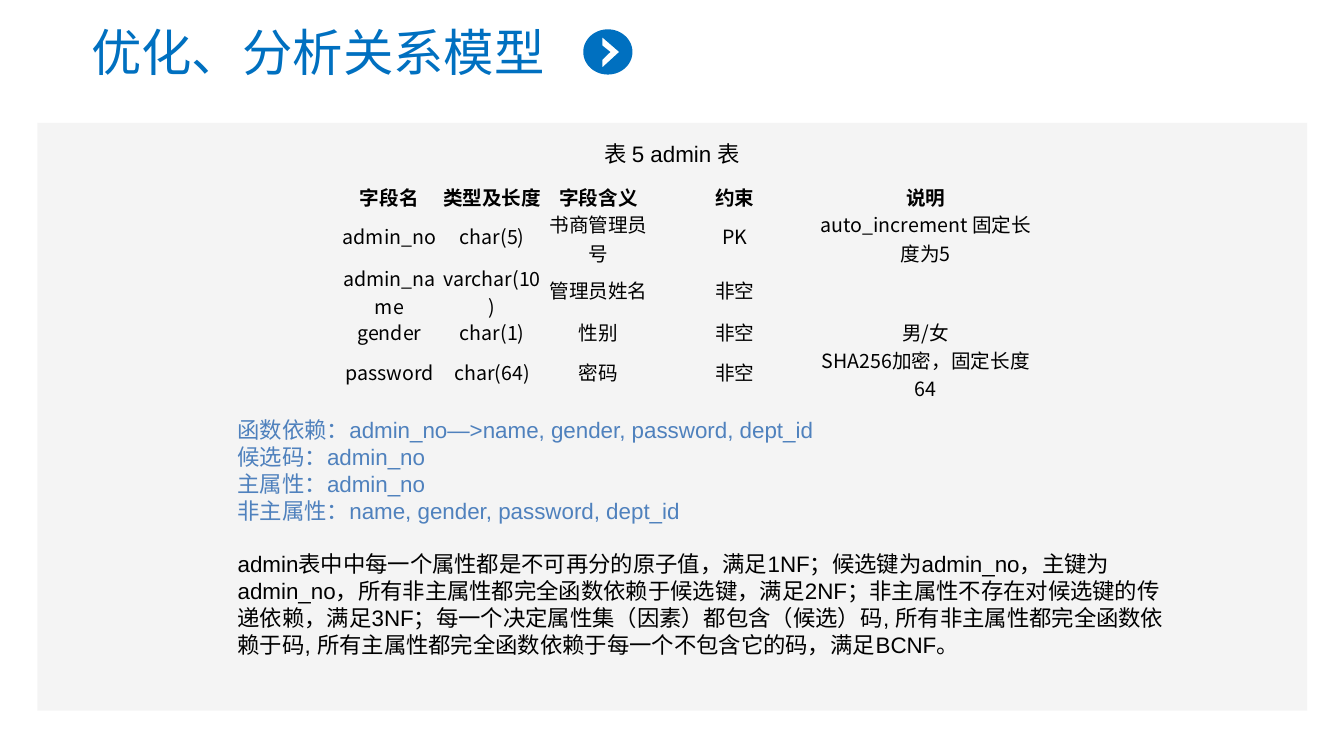
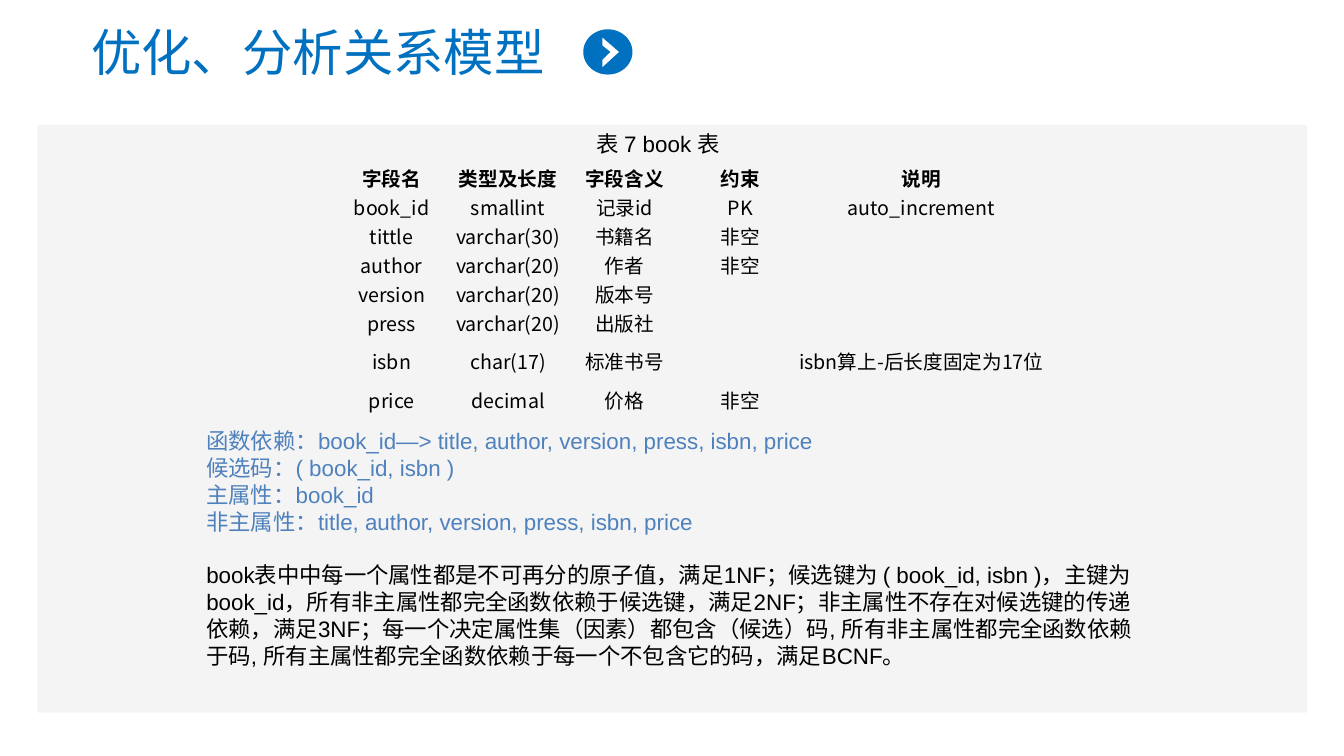
import math
from lxml import etree
from pptx import Presentation
from pptx.util import Cm, Pt
from pptx.dml.color import RGBColor
from pptx.enum import shapes, text
from pptx.oxml import ns

BLUE, SOFT, BLACK, GREY = "0070C0", "4F81BD", "000000", "F2F2F2"
SANS, CJK = "Arial", "Noto Sans CJK SC"
LEFT, MID = text.PP_ALIGN.LEFT, text.PP_ALIGN.CENTER
PLAIN = "{2D5ABB26-0587-4C30-8999-92F81FD0307C}"  # table style without grid
ARROW = [(.73, .5), (.39, .84), (.39, .67), (.55, .5), (.39, .36), (.39, .18)]
HEAD = ["字段名", "类型及长度", "字段含义", "约束", "说明"]
LABELS = ["函数依赖", "候选码", "主属性", "非主属性"]
PROOF = (
    "{name}表中中每一个属性都是不可再分的原子值，满足1NF；候选键为{key}，"
    "主键为{main}，所有非主属性都完全函数依赖于候选键，满足2NF；"
    "非主属性不存在对候选键的传递依赖，满足3NF；"
    "每一个决定属性集（因素）都包含（候选）码, 所有非主属性都完全函数依赖于码, "
    "所有主属性都完全函数依赖于每一个不包含它的码，满足BCNF。")


def cms(*nums):
    return [Cm(n) for n in nums]


def paint(fill, hue):
    fill.solid()
    fill.fore_color.rgb = RGBColor.from_string(hue)


def write(par, words, size, hue, face=SANS, bold=False, align=LEFT):
    par.alignment = align
    run = par.add_run()
    run.text = words
    font = run.font
    font.size, font.name, font.bold = Pt(size), face, bold
    font.color.rgb = RGBColor.from_string(hue)
    east = etree.SubElement(run._r.get_or_add_rPr(), ns.qn("a:ea"))
    east.set("typeface", CJK)


def blank(par, size):
    # An empty cell must not force its row taller than the text
    end = etree.SubElement(par._p, ns.qn("a:endParaRPr"))
    end.set("sz", str(size * 100))


def frame(owner, box):
    body = owner.add_textbox(*cms(*box)).text_frame
    body.word_wrap = True
    return body


def panel(slide, box):
    rect = slide.shapes.add_shape(shapes.MSO_SHAPE.RECTANGLE, *cms(*box))
    rect.shadow.inherit = False
    rect.line.fill.background()
    paint(rect.fill, GREY)
    tint = rect.fill._xPr.find(".//" + ns.qn("a:srgbClr"))
    etree.SubElement(tint, ns.qn("a:alpha")).set("val", "78000")


def icon(owner, box):
    left, top, wide, high = cms(*box)

    def spot(x, y):
        return round(left + x * wide), round(top + y * high)

    turns = [math.tau * i / 60 for i in range(60)]
    ring = [spot(.5 + math.cos(t) / 2, .5 + math.sin(t) / 2) for t in turns]
    hole = [spot(*p) for p in ARROW]
    pen = owner.build_freeform(*ring[0], scale=1.0)
    pen.add_line_segments(ring[1:], close=True)
    pen.move_to(*hole[0])
    pen.add_line_segments(hole[1:], close=True)
    disc = pen.convert_to_shape()
    disc.shadow.inherit = False
    disc.line.fill.background()
    paint(disc.fill, BLUE)


def header(slide, box):
    x, y, wide, high = box
    group = slide.shapes.add_group_shape().shapes
    icon(group, (x + 13, y + .33, 1.24, 1.14))
    body = frame(group, (x, y, wide, high))
    write(body.paragraphs[0], "优化、分析关系模型", 36, BLUE, CJK, align=MID)


def grid(slide, spot, cols, tall, rows):
    size = sum(cols), sum(tall)
    table = slide.shapes.add_table(
        len(rows), len(cols), *cms(*spot, *size)).table
    table.first_row = table.horz_banding = False
    table._tbl.tblPr.find(ns.qn("a:tableStyleId")).text = PLAIN
    for col, wide in zip(table.columns, cols):
        col.width = Cm(wide)
    for r, (row, high) in enumerate(zip(rows, tall)):
        table.rows[r].height = Cm(high)
        for c, words in enumerate(row):
            cell = table.cell(r, c)
            cell.fill.background()
            cell.margin_left = cell.margin_right = cell.margin_top = Cm(.02)
            cell.margin_bottom = 0
            top = r == 0
            cell.vertical_anchor = (text.MSO_ANCHOR.BOTTOM if top
                                    else text.MSO_ANCHOR.MIDDLE)
            par = cell.text_frame.paragraphs[0]
            if words:
                write(par, words, 14, BLACK, CJK, top, MID)
            else:
                blank(par, 14)


def notes(slide, box, facts, proof):
    body = frame(slide.shapes, box)
    for i, (label, fact) in enumerate(zip(LABELS, facts)):
        par = body.add_paragraph() if i else body.paragraphs[0]
        write(par, f"{label}：{fact}", 16, SOFT)
    par = body.add_paragraph()
    par.space_before = Pt(19)
    write(par, proof, 16, BLACK)


def page(deck, data):
    slide = deck.slides.add_slide(deck.slide_layouts[6])
    panel(slide, (.94, data["top"], 32, 14.81))
    header(slide, (1.7, .41, 12.62, 1.8))
    # Caption and table
    body = frame(slide.shapes, (*data["cap"], 14.12, .94))
    write(body.paragraphs[0], f"表 {data['num']} {data['name']} 表", 16, BLACK,
          align=MID)
    grid(slide, data["spot"], data["cols"], data["tall"],
         [HEAD] + data["rows"])
    # Dependencies and normal forms
    facts = data["facts"]
    proof = PROOF.format(name=data["name"], key=data["key"], main=facts[2])
    notes(slide, data["box"], facts, proof)


ADMIN = dict(
    num=5, name="admin", top=3.1, cap=(9.88, 3.4), spot=(8.52, 4.58),
    cols=[2.59, 2.59, 2.77, 4.09, 5.54], tall=[.69, 1.35, 1.37, .69, 1.35],
    rows=[
        ["admin_no", "char(5)", "书商管理员号", "PK",
         "auto_increment 固定长度为5"],
        ["admin_name", "varchar(10)", "管理员姓名", "非空", ""],
        ["gender", "char(1)", "性别", "非空", "男/女"],
        ["password", "char(64)", "密码", "非空", "SHA256加密，固定长度64"]],
    box=(5.74, 10.36, 23.9, 6.4), key="admin_no",
    facts=["admin_no—>name, gender, password, dept_id", "admin_no",
           "admin_no", "name, gender, password, dept_id"])

BOOK = dict(
    num=7, name="book", top=3.15, cap=(9.53, 3.15), spot=(8.41, 4.1),
    cols=[2.92, 2.95, 2.92, 2.92, 6.2], tall=[.73] * 8,
    rows=[
        ["book_id", "smallint", "记录id", "PK", "auto_increment"],
        ["tittle", "varchar(30)", "书籍名", "非空", ""],
        ["author", "varchar(20)", "作者", "非空", ""],
        ["version", "varchar(20)", "版本号", "", ""],
        ["press", "varchar(20)", "出版社", "", ""],
        ["isbn", "char(17)", "标准书号", "", "isbn算上-后长度固定为17位"],
        ["price", "decimal", "价格", "非空", ""]],
    box=(4.95, 10.64, 23.95, 6.4), key=" ( book_id, isbn )",
    facts=["book_id—> title, author, version, press, isbn, price",
           "( book_id, isbn )", "book_id",
           "title, author, version, press, isbn, price"])


def main():
    deck = Presentation()
    deck.slide_width, deck.slide_height = cms(33.87, 19.05)
    for data in (ADMIN, BOOK):
        page(deck, data)
    deck.save("out.pptx")


if __name__ == "__main__":
    main()
